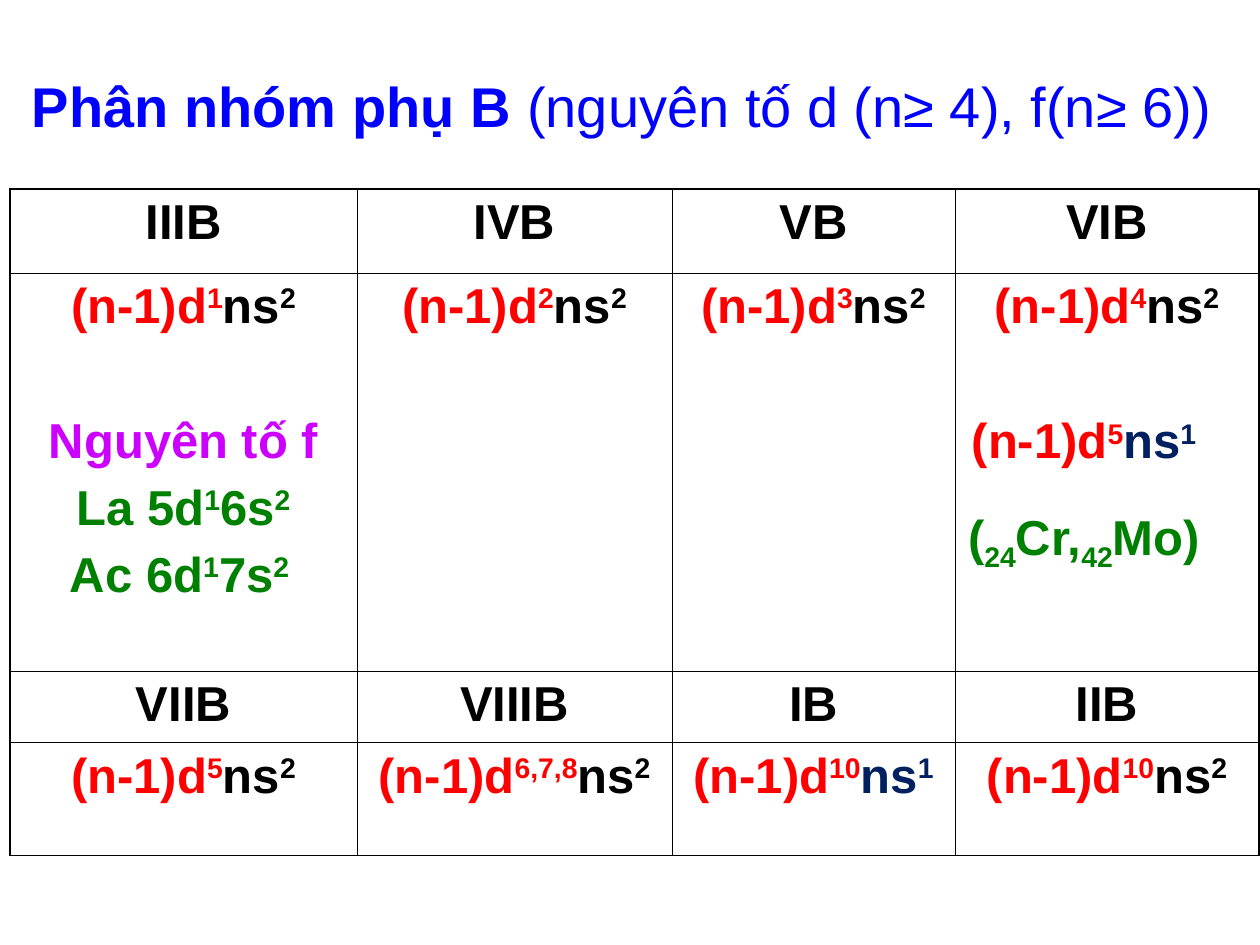
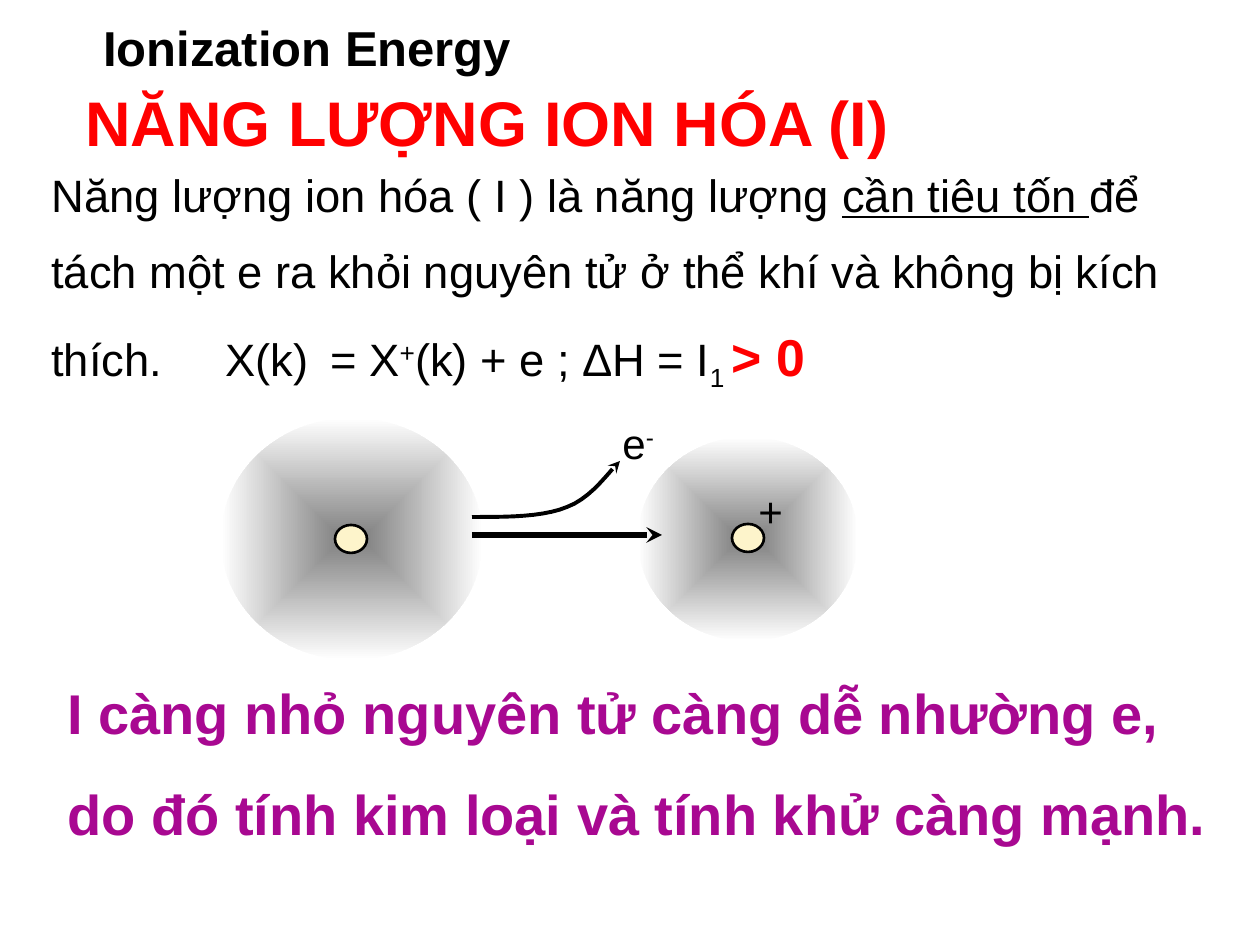
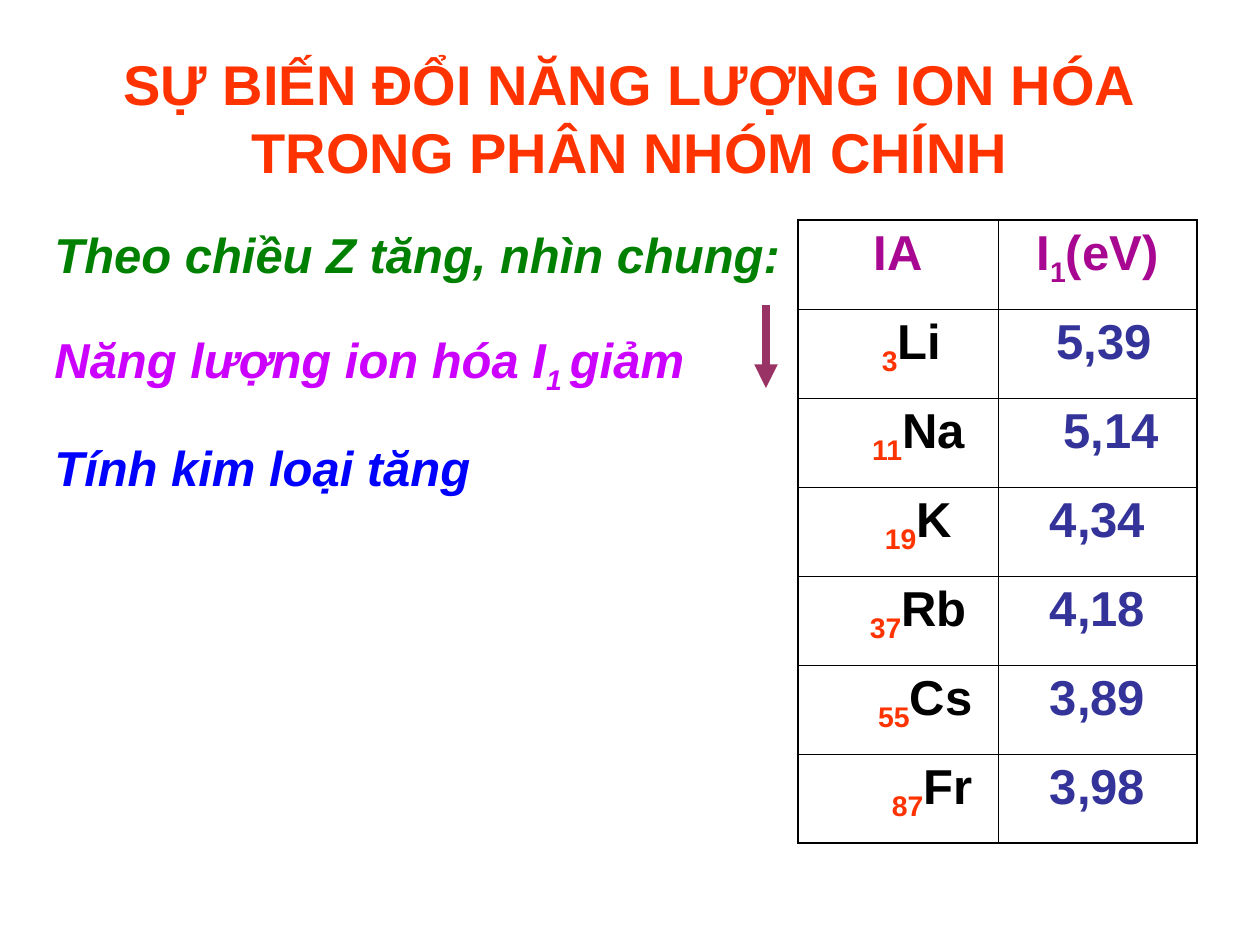
"""Build three chemistry slides on subgroup B elements and ionization energy."""
from lxml.etree import SubElement
from pptx import Presentation
from pptx.dml.color import RGBColor
from pptx.enum.shapes import MSO_CONNECTOR, MSO_SHAPE
from pptx.enum.text import MSO_ANCHOR, PP_ALIGN
from pptx.oxml.ns import qn
from pptx.util import Emu, Pt

EMU_PER_INCH = 914400
PX_PER_INCH = 126
FONT = "Arial"
OUTER_BORDER, INNER_BORDER = Pt(1.08), Pt(0.45)
SPACE_WIDTH = 13.6

BLACK = RGBColor(0x00, 0x00, 0x00)
RED = RGBColor(0xFF, 0x00, 0x00)
BLUE = RGBColor(0x00, 0x00, 0xFF)
NAVY = RGBColor(0x00, 0x20, 0x60)
INDIGO = RGBColor(0x33, 0x33, 0x99)
GREEN = RGBColor(0x00, 0x80, 0x00)
VIOLET = RGBColor(0xCC, 0x00, 0xFF)
PURPLE = RGBColor(0xA8, 0x08, 0x91)
ORANGE = RGBColor(0xFF, 0x33, 0x00)
PLUM = RGBColor(0x99, 0x33, 0x66)
GRAY = RGBColor(0x80, 0x80, 0x80)
WHITE = RGBColor(0xFF, 0xFF, 0xFF)
CREAM = RGBColor(0xFD, 0xF4, 0xCB)

TABLE_TEXT = {"size": Pt(28), "bold": True}
TITLE_TEXT = {"size": Pt(32), "bold": True}


def px(length):
    """Turn px into EMU."""
    return Emu(round(length * EMU_PER_INCH / PX_PER_INCH))


def run(text, **style):
    """Describe a run by its text and what differs from its box."""
    return text, style


def sup(text, **style):
    """Describe a superscript run."""
    return run(text, baseline=30000, **style)


def sub(text, **style):
    """Describe a subscript run."""
    return run(text, baseline=-25000, **style)


def line(*runs, **layout):
    """Describe a paragraph by its runs and layout."""
    return runs, layout


def add_run(paragraph, text, style):
    """Add one styled run."""
    style = {"name": FONT, "color": BLACK, **style}
    piece = paragraph.add_run()
    piece.text = text
    piece.font.color.rgb = style.pop("color")
    baseline = style.pop("baseline", 0)
    if baseline:
        piece._r.get_or_add_rPr().set("baseline", str(baseline))
    for name, value in style.items():
        setattr(piece.font, name, value)


def write(frame, lines, style):
    """Write paragraphs into a text frame."""
    for index, (runs, layout) in enumerate(lines):
        paragraph = frame.add_paragraph() if index else frame.paragraphs[0]
        properties = paragraph._p.get_or_add_pPr()
        for name, value in layout.items():
            if name in ("marL", "marR"):
                properties.set(name, str(px(value)))
            elif name == "tabs":
                stops = SubElement(properties, qn("a:tabLst"))
                for stop in value:
                    SubElement(stops, qn("a:tab"), pos=str(px(stop)), algn="l")
            else:
                setattr(paragraph, name, value)
        for text, changes in runs:
            add_run(paragraph, text, {**style, **changes})


def add_text(slide, place, lines, style, anchor=MSO_ANCHOR.TOP):
    """Add a wrapping text box."""
    frame = slide.shapes.add_textbox(*map(px, place)).text_frame
    frame.word_wrap = True
    frame.vertical_anchor = anchor
    write(frame, lines, style)


def add_border(cell, side, width):
    """Draw one black side of a cell."""
    edge = SubElement(cell._tc.get_or_add_tcPr(), qn(f"a:ln{side}"), w=str(width))
    fill = SubElement(edge, qn("a:solidFill"))
    SubElement(fill, qn("a:srgbClr"), val=str(BLACK))


def add_grid(slide, left, top, widths, heights, contents):
    """Add a table with a heavier outer border."""
    table = slide.shapes.add_table(
        len(heights), len(widths), px(left), px(top), px(sum(widths)), px(sum(heights))
    ).table
    table.first_row = table.horz_banding = False
    for column, width in zip(table.columns, widths):
        column.width = px(width)
    for row, height in zip(table.rows, heights):
        row.height = px(height)
    for r, row_contents in enumerate(contents):
        for c, lines in enumerate(row_contents):
            cell = table.cell(r, c)
            outer_sides = {
                "L": c == 0,
                "R": c == len(widths) - 1,
                "T": r == 0,
                "B": r == len(heights) - 1,
            }
            for side, outer in outer_sides.items():
                add_border(cell, side, OUTER_BORDER if outer else INNER_BORDER)
            cell.fill.background()
            centred = [(runs, {"alignment": PP_ALIGN.CENTER, **layout}) for runs, layout in lines]
            write(cell.text_frame, centred, TABLE_TEXT)


def style_arrow(arrow, color, width, head):
    """Set the colour, width and head of an arrow."""
    arrow.line.color.rgb = color
    arrow.line.width = Pt(width)
    SubElement(arrow.line._get_or_add_ln(), qn("a:tailEnd"), type=head)


def add_arrow(slide, ends, color, width, head):
    """Add a straight arrow."""
    arrow = slide.shapes.add_connector(MSO_CONNECTOR.STRAIGHT, *map(px, ends))
    style_arrow(arrow, color, width, head)
    SubElement(arrow._element.spPr, qn("a:effectLst"))


def bezier(start, first, second, end, steps=10):
    """Return points along a cubic curve, after its start."""
    points = []
    for step in range(1, steps + 1):
        t = step / steps
        weights = ((1 - t) ** 3, 3 * t * (1 - t) ** 2, 3 * t**2 * (1 - t), t**3)
        points.append(tuple(
            px(sum(w * v for w, v in zip(weights, values)))
            for values in zip(start, first, second, end)
        ))
    return points


def add_electron_path(slide):
    """Add the curved arrow of the leaving electron."""
    start, bend, end = (472, 517), (567, 507), (620, 461)
    builder = slide.shapes.build_freeform(*map(px, start))
    points = bezier(start, (508, 517), (543, 517), bend)
    points += bezier(bend, (592, 498), (611, 469), end)
    builder.add_line_segments(points, close=False)
    path = builder.convert_to_shape()
    path.shadow.inherit = False
    path.fill.background()
    style_arrow(path, BLACK, 2.25, "stealth")


def add_ellipse(slide, place):
    """Add an ellipse without shadow."""
    ellipse = slide.shapes.add_shape(MSO_SHAPE.OVAL, *map(px, place))
    ellipse.shadow.inherit = False
    return ellipse


def add_atom(slide, cloud_place, nucleus_place):
    """Add a shaded electron cloud with its nucleus."""
    cloud = add_ellipse(slide, cloud_place)
    cloud.line.fill.background()
    cloud.fill.gradient()
    for stop, color, position in zip(cloud.fill.gradient_stops, (GRAY, WHITE), (0, 1)):
        stop.color.rgb = color
        stop.position = position
    gradient = cloud._element.spPr.find(qn("a:gradFill"))
    gradient.remove(gradient.find(qn("a:lin")))
    path = SubElement(gradient, qn("a:path"), {"path": "rect"})
    SubElement(path, qn("a:fillToRect"), dict.fromkeys("ltrb", "50000"))

    nucleus = add_ellipse(slide, nucleus_place)
    nucleus.fill.solid()
    nucleus.fill.fore_color.rgb = CREAM
    nucleus.line.color.rgb = BLACK
    nucleus.line.width = Pt(1.5)


def shells(d_count, s_count="2", s_color=BLACK, **layout):
    """Describe an outer electron configuration."""
    return line(
        run("(n-1)d", color=RED), sup(d_count, color=RED),
        run("ns", color=s_color), sup(s_count, color=s_color), **layout,
    )


def f_element(symbol_and_d, s_shell, s_count):
    """Describe the configuration of an f-block parent element."""
    return line(
        run(symbol_and_d, color=GREEN), sup("1", color=GREEN),
        run(s_shell, color=GREEN), sup(s_count, color=GREEN), space_before=Pt(7),
    )


def build_subgroup_b(slide):
    """Fill the slide on subgroup B configurations."""
    title = line(
        run("Phân nhóm phụ B "), run("(nguyên tố d (n≥ 4), f(n≥ 6))", bold=False),
        alignment=PP_ALIGN.CENTER, marL=26,
    )
    add_text(slide, (-21, 62, 1260, 86), [title], {**TITLE_TEXT, "color": BLUE}, MSO_ANCHOR.MIDDLE)
    group_3 = [
        shells("1"),
        line(run("Nguyên tố f", color=VIOLET), space_before=Pt(46)),
        f_element("La 5d", "6s", "2"),
        f_element("Ac 6d", "7s", "2 "),
    ]
    group_6 = [
        shells("4"),
        shells("5", "1", NAVY, space_before=Pt(46), marR=46),
        line(
            run("(", color=GREEN), sub("24", color=GREEN), run("Cr,", color=GREEN),
            sub("42", color=GREEN), run("Mo)", color=GREEN), space_before=Pt(24),
        ),
    ]
    contents = [
        [[line(run(group))] for group in ("IIIB", "IVB", "VB", "VIB")],
        [group_3, [shells("2")], [shells("3")], group_6],
        [[line(run(group))] for group in ("VIIB", "VIIIB", "IB", "IIB")],
        [[shells("5")], [shells("6,7,8")], [shells("10", "1", NAVY)], [shells("10")]],
    ]
    add_grid(slide, 10, 189, (347, 315, 283, 304), (84, 398, 71, 113), contents)


def build_ionization(slide):
    """Fill the slide that defines ionization energy."""
    add_text(slide, (21, 11, 1166, 145), [
        line(run("Ionization Energy", size=Pt(28)), marL=70),
        line(run("NĂNG LƯỢNG ION HÓA (I)", color=RED), marL=52, space_before=Pt(4)),
    ], {"size": Pt(36), "bold": True})
    definition = line(
        run("Năng lượng ion hóa ( I ) là năng lượng "),
        run("cần tiêu tốn ", underline=True),
        run("để tách một e ra khỏi nguyên tử ở thể khí và không bị kích thích.\tX(k)\t= X"),
        sup("+"), run("(k) + e ; ΔH = I"), sub("1 "),
        run("> 0", size=Pt(29.6), color=RED, bold=True),
        line_spacing=1.4, tabs=(174, 279),
    )
    add_text(slide, (39, 139, 1158, 262), [definition], {"size": Pt(25.9)})
    conclusion = line(
        run("I càng nhỏ nguyên tử càng dễ nhường e, do đó tính kim loại và tính khử càng mạnh."),
        marL=63, line_spacing=1.5,
    )
    add_text(slide, (-8, 639, 1260, 316), [conclusion], {**TITLE_TEXT, "color": PURPLE})
    add_atom(slide, (221, 418, 262, 242), (335, 525, 32, 28))
    add_atom(slide, (638, 437, 220, 204), (732, 524, 32, 28))
    add_arrow(slide, (472, 535, 662, 535), BLACK, 3, "stealth")
    add_electron_path(slide)
    add_text(slide, (610, 411, 94, 63), [line(run("e"), sup("-"))], {"size": Pt(24)})
    add_text(slide, (746, 479, 53, 63), [line(run("+"))], {"size": Pt(24)})


def build_main_group(slide):
    """Fill the slide on the trend within group IA."""
    title = [
        line(run(text), alignment=PP_ALIGN.CENTER)
        for text in ("SỰ BIẾN ĐỔI NĂNG LƯỢNG ION HÓA", "TRONG PHÂN NHÓM CHÍNH")
    ]
    add_text(slide, (63, 38, 1134, 158), title, {**TITLE_TEXT, "color": ORANGE}, MSO_ANCHOR.MIDDLE)
    add_text(slide, (42, 189, 777, 624), [
        line(run("Theo chiều Z tăng, nhìn chung:", color=GREEN), line_spacing=1.5),
        line(
            run("Năng lượng ion hóa I", color=VIOLET), sub("1 ", color=VIOLET),
            run("giảm", color=VIOLET), line_spacing=1.5, space_before=Pt(7),
        ),
        line(run("Tính kim loại tăng", color=BLUE), line_spacing=1.5, space_before=Pt(7)),
    ], {**TABLE_TEXT, "italic": True})
    elements = [
        ("3", "Li", 2, "5,39", 1),
        ("11", "Na", 3, "5,14", 2),
        ("19", "K", 3, "4,34", 0),
        ("37", "Rb", 3, "4,18", 0),
        ("55", "Cs", 4, "3,89", 0),
        ("87", "Fr", 5, "3,98", 0),
    ]
    contents = [[
        [line(run("IA", color=PURPLE))],
        [line(run("I", color=PURPLE), sub("1", color=PURPLE), run("(eV)", color=PURPLE))],
    ]]
    for number, symbol, symbol_shift, energy, energy_shift in elements:
        contents.append([
            [line(sub(number, color=ORANGE), run(symbol), marL=symbol_shift * SPACE_WIDTH)],
            [line(run(energy, color=INDIGO), marL=energy_shift * SPACE_WIDTH)],
        ])
    add_grid(slide, 798, 220, (200, 199), [89] * len(contents), contents)
    add_arrow(slide, (766, 305, 766, 388), PLUM, 4.5, "triangle")


def main():
    """Build and save the presentation."""
    deck = Presentation()
    deck.slide_width, deck.slide_height = px(1260), px(945)
    blank = deck.slide_layouts[6]
    for build in (build_subgroup_b, build_ionization, build_main_group):
        build(deck.slides.add_slide(blank))
    deck.save("out.pptx")


if __name__ == "__main__":
    main()
